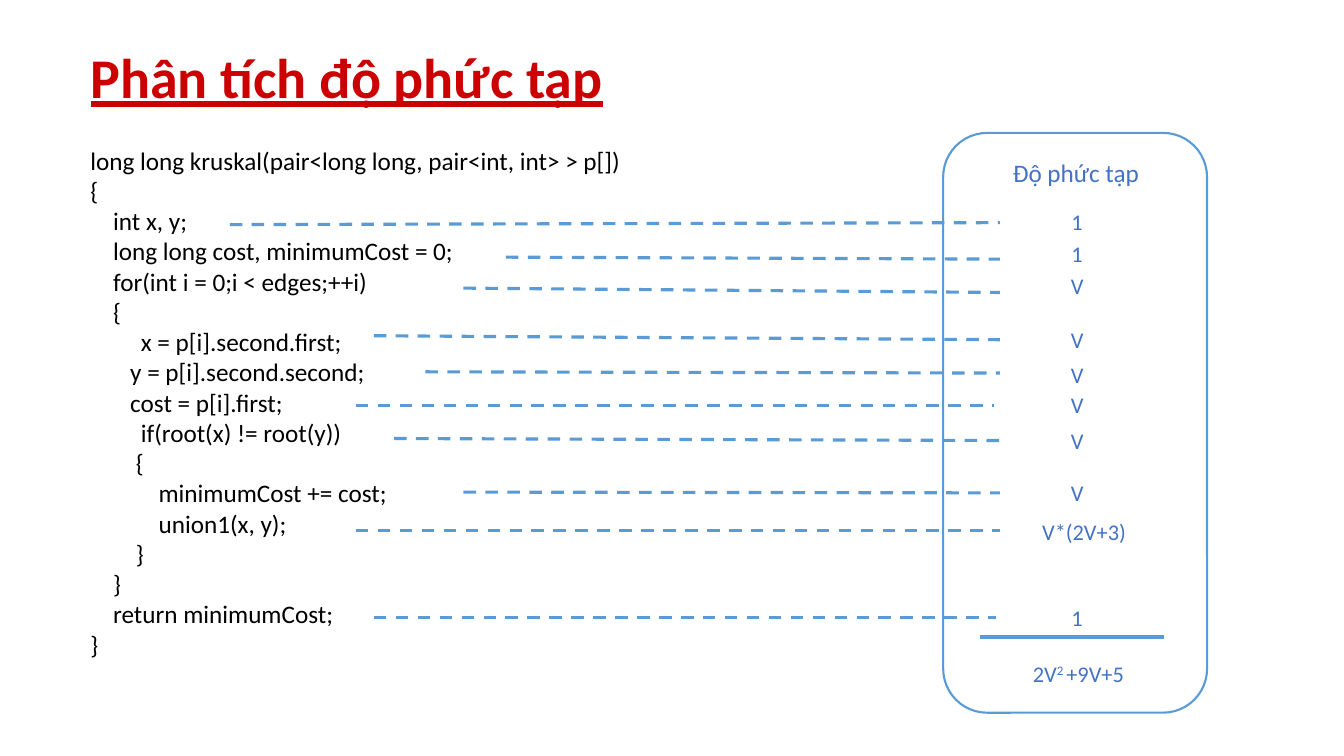
"""Build the slide on the complexity of Kruskal's algorithm."""
from dataclasses import dataclass

from lxml.etree import SubElement
from pptx import Presentation
from pptx.dml.color import RGBColor
from pptx.enum.dml import MSO_LINE
from pptx.enum.shapes import MSO_CONNECTOR, MSO_SHAPE
from pptx.enum.text import MSO_ANCHOR, MSO_AUTO_SIZE, PP_ALIGN
from pptx.oxml.ns import qn
from pptx.util import Cm, Pt


@dataclass(frozen=True)
class Theme:
    font: str = "Calibri"
    title: str = "CC0000"
    code: str = "000000"
    label: str = "4472C4"
    line: str = "5B9BD5"
    title_size: int = 40
    body_size: int = 18
    label_size: int = 16


THEME = Theme()
TITLE = "Phân tích độ phức tạp"
HEADING = "Độ phức tạp"
TOTAL = [("2V", 0), ("2 ", 30), ("+9V+5", 0)]
CODE = """long long kruskal(pair<long long, pair<int, int> > p[])
{
    int x, y;
    long long cost, minimumCost = 0;
    for(int i = 0;i < edges;++i)
    {
\tx = p[i].second.first;
       y = p[i].second.second;
       cost = p[i].first;
\tif(root(x) != root(y))
        {
            minimumCost += cost;
            union1(x, y);
        }
    }
    return minimumCost;
}"""

LABEL_LEFT, LABEL_WIDTH, LABEL_HEIGHT = 25.76, 2.77, 0.94
COSTS = [
    {"cost": "1", "top": 5.13, "start": (5.79, 5.66), "end": (25.2, 5.61)},
    {"cost": "1", "top": 5.92, "start": (12.75, 6.48), "end": (25.2, 6.53)},
    {"cost": "V", "top": 6.73, "start": (11.68, 7.26), "end": (25.2, 7.37)},
    {"cost": "V", "top": 8.1, "start": (9.42, 8.46), "end": (25.2, 8.56)},
    {"cost": "V", "top": 8.97, "start": (10.72, 9.37), "end": (25.2, 9.4)},
    {"cost": "V", "top": 9.73, "start": (8.97, 10.21), "end": (25.04, 10.21)},
    {"cost": "V", "top": 10.64, "start": (9.93, 11.05), "end": (25.2, 11.1)},
    {"cost": "V", "top": 11.94, "start": (11.68, 12.4), "end": (25.2, 12.42)},
    {"cost": "V*(2V+3)", "top": 12.93, "start": (8.97, 13.36),
     "end": (25.2, 13.36), "width": 3.12},
    {"cost": "1", "top": 15.11, "start": (9.42, 15.57), "end": (25.1, 15.57)},
]


def write(box, text, *, size, color, align=PP_ALIGN.LEFT, bold=None,
          underline=None, tab=None):
    """Fill a box with lines of text, or with one line of (text, baseline) spans."""
    frame = box.text_frame
    frame.word_wrap = True
    frame.auto_size = MSO_AUTO_SIZE.SHAPE_TO_FIT_TEXT
    frame.vertical_anchor = MSO_ANCHOR.TOP
    lines = [[(line, 0)] for line in text.split("\n")] if isinstance(text, str) else [text]
    for index, pieces in enumerate(lines):
        para = frame.add_paragraph() if index else frame.paragraphs[0]
        para.alignment = align
        if tab:
            stops = SubElement(para._p.get_or_add_pPr(), qn("a:tabLst"))
            SubElement(stops, qn("a:tab"), pos=str(tab), algn="l")
        for piece, baseline in pieces:
            span = para.add_run()
            span.text = piece
            span.font.name = THEME.font
            span.font.size = Pt(size)
            span.font.bold = bold
            span.font.underline = underline
            span.font.color.rgb = RGBColor.from_string(color)
            if baseline:
                span._r.get_or_add_rPr().set("baseline", str(baseline * 1000))


def add_text(page, area, text, **style):
    """Add a text box over an area in centimetres."""
    write(page.shapes.add_textbox(*map(Cm, area)), text, **style)


def add_line(page, start, end, dash=None):
    """Draw a straight line between two points in centimetres."""
    line = page.shapes.add_connector(MSO_CONNECTOR.STRAIGHT, *map(Cm, start + end))
    line.line.color.rgb = RGBColor.from_string(THEME.line)
    line.line.width = Pt(2.25)
    if dash:
        line.line.dash_style = dash
    SubElement(line._element.spPr, qn("a:effectLst"))


def main():
    """Compose the slide and save it."""
    deck = Presentation()
    deck.slide_width, deck.slide_height = Cm(33.87), Cm(19.05)
    page = deck.slides.add_slide(deck.slide_layouts[5])

    title = page.shapes.title
    title.left, title.top, title.width, title.height = map(Cm, (2.03, 0.94, 25.3, 1.96))
    write(title, TITLE, size=THEME.title_size, color=THEME.title, bold=True, underline=True)
    add_text(page, (2.03, 3.53, 16.23, 13.34), CODE, size=THEME.body_size,
             color=THEME.code, tab=Cm(1.27))

    panel = page.shapes.add_shape(MSO_SHAPE.ROUNDED_RECTANGLE,
                                  *map(Cm, (23.77, 3.35, 6.65, 14.61)))
    panel.shadow.inherit = False
    panel.fill.background()
    panel.line.color.rgb = RGBColor.from_string(THEME.line)
    panel.line.width = Pt(1.5)
    add_text(page, (24.69, 3.84, 4.85, 1.02), HEADING, size=THEME.body_size,
             color=THEME.label, align=PP_ALIGN.CENTER)

    for row in COSTS:
        add_line(page, row["start"], row["end"], MSO_LINE.DASH)
        area = LABEL_LEFT, row["top"], row.get("width", LABEL_WIDTH), LABEL_HEIGHT
        add_text(page, area, row["cost"], size=THEME.label_size,
                 color=THEME.label, align=PP_ALIGN.CENTER)

    add_line(page, (24.69, 16.05), (29.34, 16.05))
    add_text(page, (25.78, 16.51, 3.99, LABEL_HEIGHT), TOTAL,
             size=THEME.label_size, color=THEME.label)
    deck.save("out.pptx")


if __name__ == "__main__":
    main()
